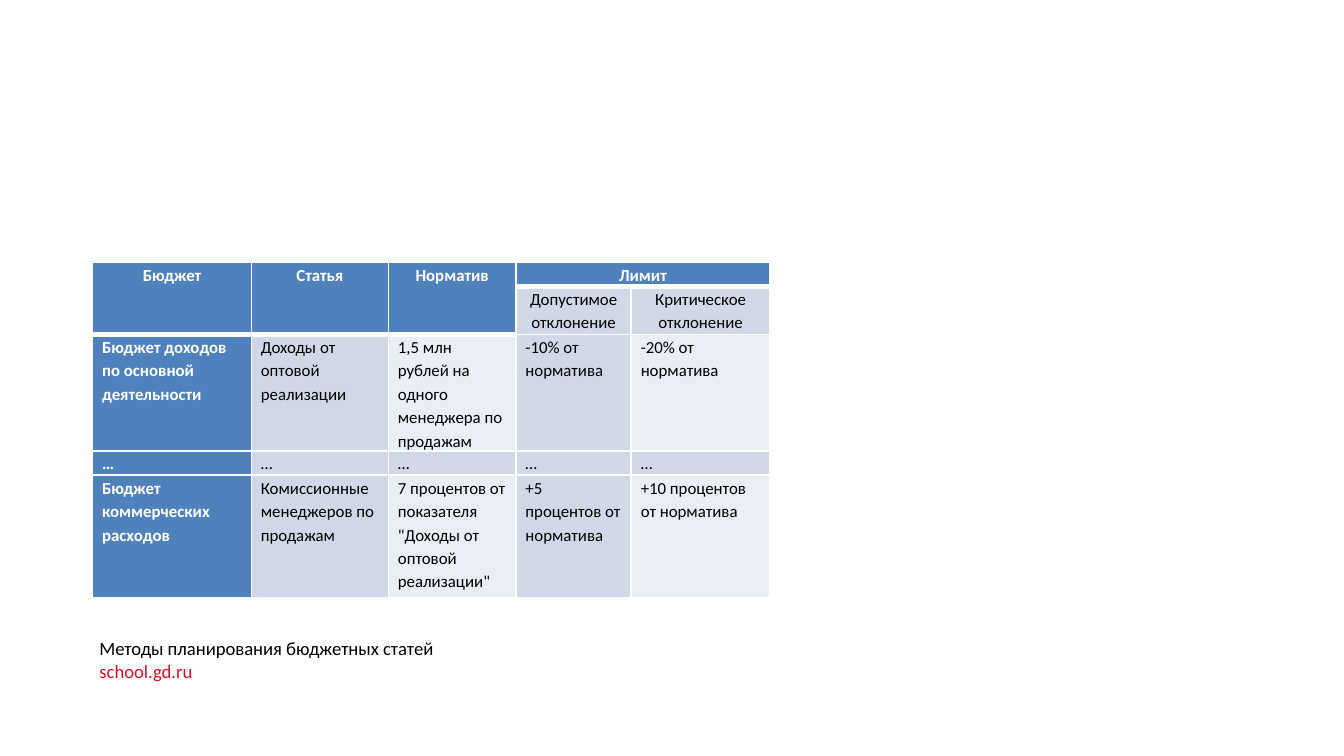
from lxml import etree
from pptx import Presentation
from pptx import util as u
from pptx.dml.color import RGBColor
from pptx.enum import text
from pptx.oxml import ns

WHITE = RGBColor(0xFF, 0xFF, 0xFF)
BLACK = RGBColor(0x00, 0x00, 0x00)
RED = RGBColor(0xCE, 0x13, 0x25)
BLUE = RGBColor(0x4F, 0x81, 0xBD)
BAND = RGBColor(0xD0, 0xD8, 0xE8)
LIGHT = RGBColor(0xE9, 0xED, 0xF4)
FONT = "Calibri"

COLUMN_WIDTHS = [3.0, 2.59, 2.41, 2.18, 2.62]
ROW_HEIGHTS = [0.46, 0.91, 1.85, 0.46, 2.31]
HEADER_ROWS = 2
LIMIT_COLUMN = 3
BUDGET = [
    ["Бюджет", "Статья", "Норматив", "Лимит", ""],
    ["", "", "", "Допустимое отклонение", "Критическое отклонение"],
    ["Бюджет доходов по основной деятельности", "Доходы от оптовой реализации",
     "1,5 млн рублей на одного менеджера по продажам",
     "-10% от норматива", "-20% от норматива"],
    ["…"] * 5,
    ["Бюджет коммерческих расходов", "Комиссионные менеджеров по продажам",
     "7 процентов от показателя \"Доходы от оптовой реализации\"",
     "+5 процентов от норматива", "+10 процентов от норматива"],
]


def is_heading(row, column):
    return row == 0 or (row == 1 and column < LIMIT_COLUMN)


def cell_fill(row, column):
    if column == 0 or is_heading(row, column):
        return BLUE
    plain_row = row < HEADER_ROWS or BUDGET[row][column] == "…"
    return BAND if plain_row or column % 2 else LIGHT


def set_borders(cell, top, bottom):
    """White cell borders; top and bottom widths are in points."""
    properties = cell._tc.get_or_add_tcPr()
    widths = {"lnL": 1, "lnR": 1, "lnT": top, "lnB": bottom}
    for position, (edge, width) in enumerate(widths.items()):
        line = etree.Element(ns.qn(f"a:{edge}"), w=str(u.Pt(width)))
        fill = etree.SubElement(line, ns.qn("a:solidFill"))
        etree.SubElement(fill, ns.qn("a:srgbClr"), val=str(WHITE))
        properties.insert(position, line)


def format_cell(cell, row, column):
    fill = cell_fill(row, column)
    cell.fill.solid()
    cell.fill.fore_color.rgb = fill
    cell.margin_left = cell.margin_right = u.Cm(0.18)
    cell.margin_top = cell.margin_bottom = 0
    # A heavier rule runs under the headings
    below_heading = row > 0 and is_heading(row - 1, column)
    set_borders(cell,
                top=3 if below_heading else 1,
                bottom=3 if is_heading(row, column) else 1)

    paragraph = cell.text_frame.paragraphs[0]
    paragraph.line_spacing = 1.15
    paragraph.space_after = u.Pt(10)
    if row < HEADER_ROWS:
        paragraph.alignment = text.PP_ALIGN.CENTER
    paragraph.font.name = FONT
    paragraph.font.size = u.Pt(9)
    paragraph.font.bold = fill == BLUE
    paragraph.font.color.rgb = WHITE if fill == BLUE else BLACK


def add_budget_table(slide, left, top, width, height):
    budget = slide.shapes.add_table(
        len(BUDGET), len(COLUMN_WIDTHS), left, top, width, height).table
    # Column and row sizes keep their proportions within the box
    for column, share in zip(budget.columns, COLUMN_WIDTHS):
        column.width = int(width * share / sum(COLUMN_WIDTHS))
    for row, share in zip(budget.rows, ROW_HEIGHTS):
        row.height = int(height * share / sum(ROW_HEIGHTS))
    for row, entries in enumerate(BUDGET):
        for column, entry in enumerate(entries):
            cell = budget.cell(row, column)
            cell.text = entry
            format_cell(cell, row, column)
    # Merged headings
    for column in range(LIMIT_COLUMN):
        budget.cell(0, column).merge(budget.cell(1, column))
    budget.cell(0, LIMIT_COLUMN).merge(budget.cell(0, LIMIT_COLUMN + 1))


def add_caption(slide, left, top, width, height):
    frame = slide.shapes.add_textbox(left, top, width, height).text_frame
    frame.word_wrap = False
    frame.auto_size = text.MSO_AUTO_SIZE.SHAPE_TO_FIT_TEXT
    frame.text = "Методы планирования бюджетных статей\nschool.gd.ru"
    for paragraph, color in zip(frame.paragraphs, (BLACK, RED)):
        paragraph.font.name = FONT
        paragraph.font.size = u.Pt(10)
        paragraph.font.color.rgb = color


def main():
    deck = Presentation()
    deck.slide_width, deck.slide_height = u.Cm(25.4), u.Cm(14.28)
    slide = deck.slides.add_slide(deck.slide_layouts[6])
    add_caption(slide, u.Cm(1.63), u.Cm(11.91), u.Cm(6.93), u.Cm(1.12))
    add_budget_table(slide, u.Cm(1.75), u.Cm(4.95), u.Cm(12.8), u.Cm(5.99))
    deck.save("out.pptx")


if __name__ == "__main__":
    main()
